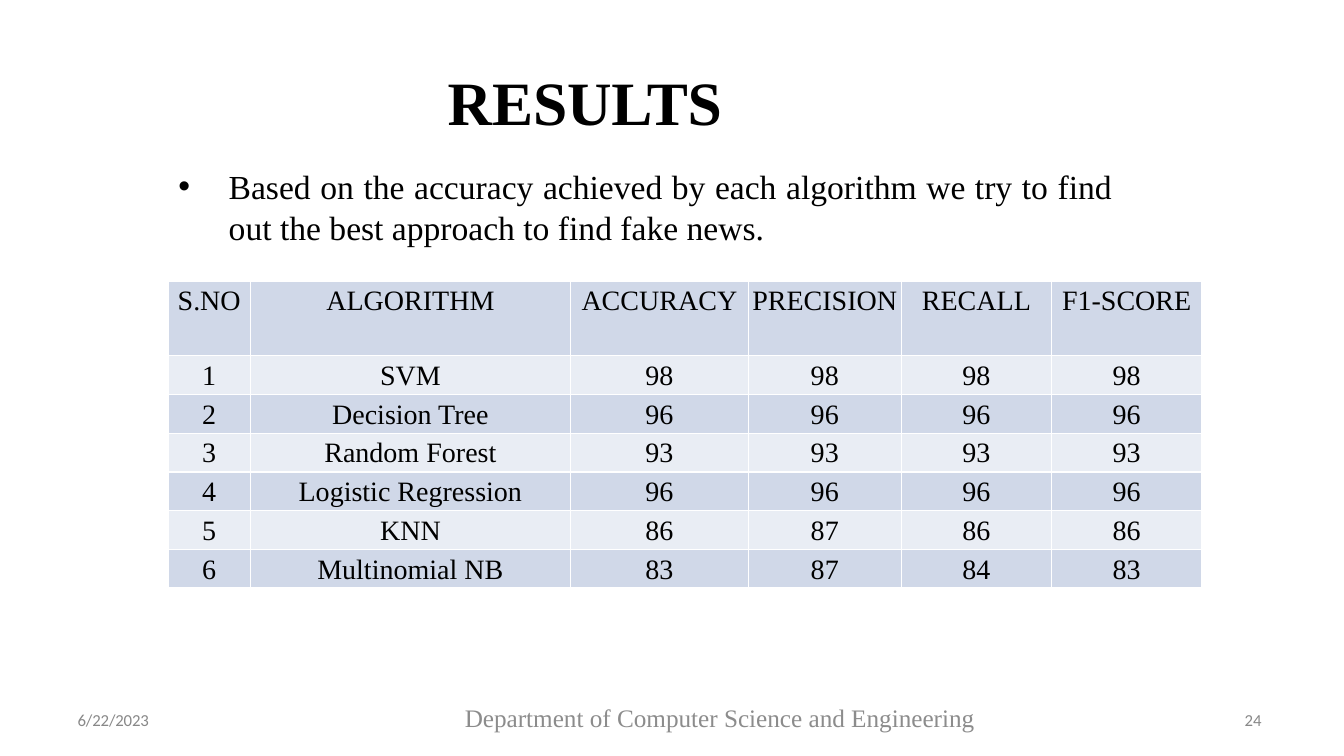
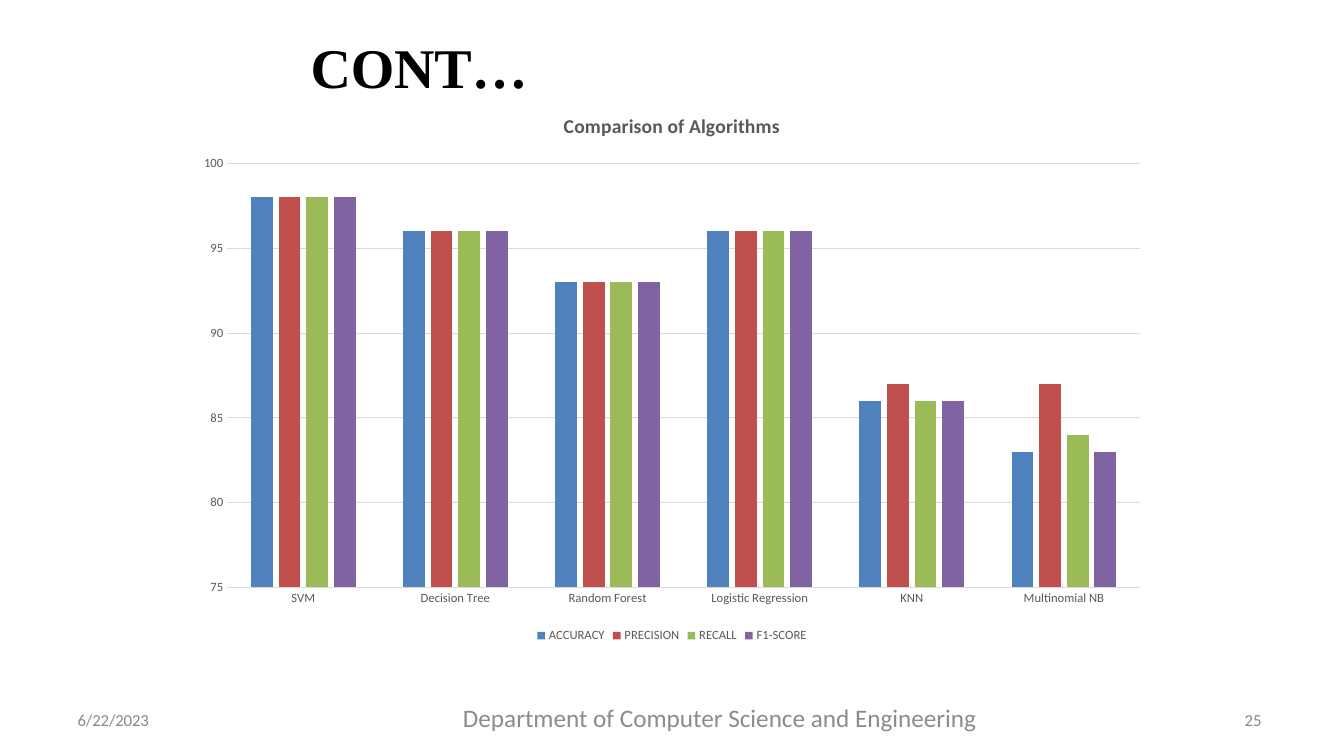
from lxml import etree
from pptx import Presentation
from pptx import util as u
from pptx.chart.data import CategoryChartData
from pptx.dml.color import RGBColor
from pptx.enum import chart as ch
from pptx.enum import text
from pptx.oxml import parse_xml
from pptx.oxml.ns import nsdecls, qn

BLACK = RGBColor(0x00, 0x00, 0x00)
GREY = RGBColor(0x88, 0x88, 0x88)
FOOTER_GREY = RGBColor(0x8C, 0x8C, 0x8C)
CHART_TEXT = RGBColor(0x59, 0x59, 0x59)
CHART_LINE = RGBColor(0xD9, 0xD9, 0xD9)
BANDS = [RGBColor(0xD0, 0xD8, 0xE8), RGBColor(0xE9, 0xED, 0xF4)]
SERIES_COLORS = [RGBColor(0x4F, 0x81, 0xBD), RGBColor(0xC0, 0x50, 0x4D),
                 RGBColor(0x9B, 0xBB, 0x59), RGBColor(0x80, 0x64, 0xA2)]
SERIF, SANS = "Times New Roman", "Calibri"
LEFT, CENTER, JUSTIFY = (text.PP_ALIGN.LEFT, text.PP_ALIGN.CENTER,
                         text.PP_ALIGN.JUSTIFY)

METRICS = ["ACCURACY", "PRECISION", "RECALL", "F1-SCORE"]
SCORES = {
    "SVM": [98, 98, 98, 98],
    "Decision Tree": [96, 96, 96, 96],
    "Random Forest": [93, 93, 93, 93],
    "Logistic Regression": [96, 96, 96, 96],
    "KNN": [86, 87, 86, 86],
    "Multinomial NB": [83, 87, 84, 83],
}

prs = Presentation()
prs.slide_width, prs.slide_height = u.Inches(13.333), u.Inches(7.5)


def area(left, top, width, height):
    """Turn percentages of the slide into a position and a size."""
    w, h = prs.slide_width / 100, prs.slide_height / 100
    return [int(v) for v in (left * w, top * h, width * w, height * h)]


def write(sp, words, size, font, color, align=LEFT, inset=0, spacing=None):
    """Fill a text shape with one paragraph and return the paragraph."""
    tf = sp.text_frame
    tf.word_wrap = True
    tf.auto_size = text.MSO_AUTO_SIZE.SHAPE_TO_FIT_TEXT
    tf.vertical_anchor = text.MSO_ANCHOR.TOP
    tf.margin_left = tf.margin_right = u.Inches(2 * inset)
    tf.margin_top = tf.margin_bottom = u.Inches(inset)
    p = tf.paragraphs[0]
    r = p.add_run()
    r.text = words
    p.alignment = align
    p.font.size, p.font.name = u.Pt(size), font
    p.font.color.rgb = color
    if spacing:
        r._r.get_or_add_rPr().set("spc", str(spacing))
    return p


# Titles and footers of both slides
slides = []
for words, size, place, footer_font, number in [
    ("RESULTS", 44, (33.31, 8.27, 37.96, 10), SERIF, "24"),
    ("CONT…", 40, (23.11, 4.13, 43.59, 9.2), SANS, "25"),
]:
    s = prs.slides.add_slide(prs.slide_layouts[5])
    slides.append(s)
    title = s.shapes.title
    title.left, title.top, title.width, title.height = area(*place)
    p = write(title, words, size, SERIF, BLACK, spacing=-10)
    p.font.bold = True
    p.space_before = u.Pt(1)
    title.text_frame.margin_top = u.Inches(0.01)

    for words, place, size, font, color, align, spacing in [
        ("6/22/2023", (5.78, 94.27, 8.33, 2.27), 12, SANS, GREY, LEFT, -10),
        (number, (91.97, 94.27, 2.55, 2.27), 12, SANS, GREY, CENTER, None),
        ("Department of Computer Science and Engineering",
         (33.98, 92.93, 39.16, 8.13), 18, footer_font, FOOTER_GREY, CENTER, None),
    ]:
        sp = s.shapes.add_textbox(*area(*place))
        p = write(sp, words, size, font, color, align, spacing=spacing)
        if size == 12:
            p.line_spacing = u.Pt(12.4)

results, comparison = slides

# Results: bullet
sp = results.shapes.add_textbox(*area(12.53, 21.33, 70.97, 12.13))
p = write(sp, "Based on the accuracy achieved by each algorithm we try to find "
          "out the best approach to find fake news.", 24, SERIF, BLACK,
          JUSTIFY, inset=0.05)
pPr = p._p.get_or_add_pPr()
pPr.set("marL", str(u.Inches(0.5)))
pPr.set("indent", str(-u.Inches(0.5)))
bullet = parse_xml(f'<a:buChar {nsdecls("a")} char="•"/>')
pPr.insert_element_before(bullet, "a:tabLst", "a:defRPr", "a:extLst")
bullet.addprevious(parse_xml(f'<a:buFont {nsdecls("a")} typeface="Arial"/>'))

# Results: table
rows = [["S.NO", "ALGORITHM"] + METRICS]
rows += [[i, name] + vals for i, (name, vals) in enumerate(SCORES.items(), 1)]
col_shares = [6.08, 23.86, 13.2, 11.4, 11.18, 11.18]
row_shares = [9.87] + [4.8] * len(SCORES)
table = results.shapes.add_table(
    len(rows), len(col_shares),
    *area(12.53, 37.2, sum(col_shares), sum(row_shares))).table
table.first_row = table.horz_banding = False
for col, share in zip(table.columns, col_shares):
    col.width = int(prs.slide_width * share / 100)
for row, share in zip(table.rows, row_shares):
    row.height = int(prs.slide_height * share / 100)

for i, values in enumerate(rows):
    for j, value in enumerate(values):
        cell = table.cell(i, j)
        cell.margin_left = cell.margin_right = u.Inches(0.02)
        cell.margin_top = cell.margin_bottom = 0
        tcPr = cell._tc.get_or_add_tcPr()
        for side in ("lnL", "lnR", "lnT", "lnB"):
            ln = etree.SubElement(tcPr, qn(f"a:{side}"), w=str(u.Pt(1)))
            fill = etree.SubElement(ln, qn("a:solidFill"))
            etree.SubElement(fill, qn("a:srgbClr"), val="FFFFFF")
        cell.fill.solid()
        cell.fill.fore_color.rgb = BANDS[i % 2]
        p = cell.text_frame.paragraphs[0]
        p.text = str(value)
        p.alignment = CENTER
        p.line_spacing = 1.15
        p.space_before, p.space_after = u.Pt(3), u.Pt(8)
        p.font.size, p.font.name = u.Pt(20), SERIF
        p.font.color.rgb = BLACK

# Comparison: chart
data = CategoryChartData()
data.categories = list(SCORES)
for metric, vals in zip(METRICS, zip(*SCORES.values())):
    data.add_series(metric, vals)
chart = comparison.shapes.add_chart(
    ch.XL_CHART_TYPE.COLUMN_CLUSTERED,
    *area(13.73, 12.27, 72.54, 73.33), data).chart
chart.font.size, chart.font.name = u.Pt(9), SANS
chart.font.color.rgb = CHART_TEXT

chart.has_title = True
p = chart.chart_title.text_frame.paragraphs[0]
p.text = "Comparison of Algorithms"
p.font.size, p.font.name, p.font.bold = u.Pt(14), SANS, True
p.font.color.rgb = CHART_TEXT

chart.has_legend = True
chart.legend.position = ch.XL_LEGEND_POSITION.BOTTOM
chart.legend.include_in_layout = False

plot = chart.plots[0]
plot.gap_width, plot.overlap = 219, -27
plot.vary_by_categories = False
for series, color in zip(plot.series, SERIES_COLORS):
    series.format.fill.solid()
    series.format.fill.fore_color.rgb = color

scale = chart.value_axis
scale.minimum_scale, scale.maximum_scale, scale.major_unit = 75, 100, 5
scale.format.line.fill.background()
for axis in (chart.category_axis, scale):
    axis.major_tick_mark = axis.minor_tick_mark = ch.XL_TICK_MARK.NONE
for line in (chart.category_axis.format.line, scale.major_gridlines.format.line):
    line.width = u.Pt(0.75)
    line.color.rgb = CHART_LINE

prs.save("out.pptx")
